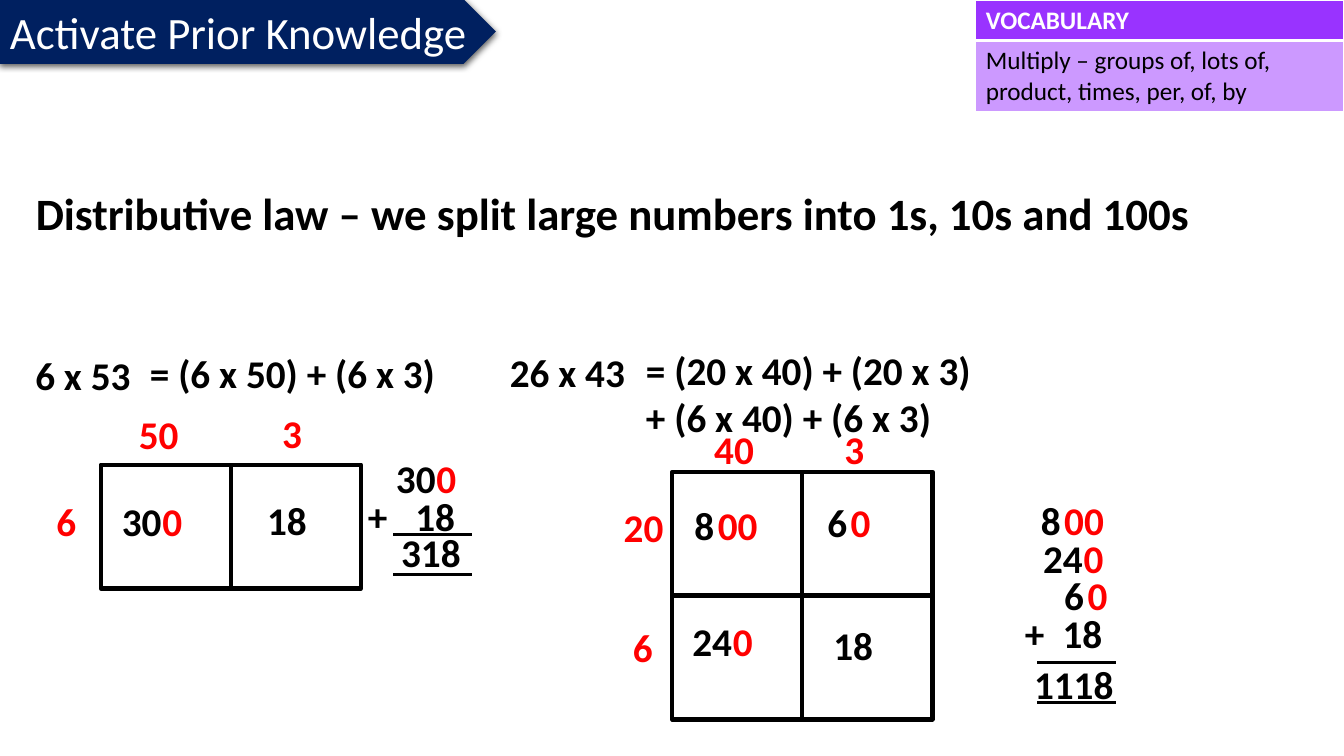
import pptx
import pptx.util
import pptx.dml.color
import pptx.enum.shapes
import pptx.enum.text
import pptx.oxml
import pptx.oxml.ns
from lxml import etree

Cm = pptx.util.Cm
Pt = pptx.util.Pt
SHAPE = pptx.enum.shapes.MSO_SHAPE
ALIGN = pptx.enum.text.PP_ALIGN
FIT = pptx.enum.text.MSO_AUTO_SIZE
ANCHOR = pptx.enum.text.MSO_ANCHOR
NS = 'xmlns:a="http://schemas.openxmlformats.org/drawingml/2006/main"'

BLACK, WHITE, RED = "000000", "FFFFFF", "FF0000"
NAVY, PURPLE, LILAC = "002060", "9933FF", "CC99FF"


def hue(code):
    return pptx.dml.color.RGBColor.from_string(code)


def write(frame, text, size=28, color=BLACK, bold=True, align=ALIGN.LEFT,
          lead=None, tab=None):
    """Fill a text frame, one paragraph per line of text."""
    for i, line in enumerate(text.split("\n")):
        para = frame.paragraphs[0] if i == 0 else frame.add_paragraph()
        if tab:
            stops = etree.SubElement(para._p.get_or_add_pPr(),
                                     pptx.oxml.ns.qn("a:tabLst"))
            etree.SubElement(stops, pptx.oxml.ns.qn("a:tab"),
                             pos=str(Cm(tab)), algn="l")
        para.alignment = align
        if lead:
            para.line_spacing = lead
        run = para.add_run()
        run.text = line
        run.font.name = "Calibri"
        run.font.size = Pt(size)
        run.font.bold = bold
        run.font.color.rgb = hue(color)


class Board:
    """Holds the style and the current slide."""
    cell_w, cell_h = 3.28, 3.12
    tag_w, tag_h = 2.26, 1.45
    step = {1: 0.59, 2: 1.02}    # shift of the red zeros by black digits

    def __init__(self, slide):
        self.slide = slide
        self.shapes = slide.shapes

    def banner(self, text, x, y, w, h):
        shape = self.shapes.add_shape(SHAPE.PENTAGON, Cm(x), Cm(y), Cm(w), Cm(h))
        shape.fill.solid()
        shape.fill.fore_color.rgb = hue(NAVY)
        shape.line.fill.background()
        shape._element.spPr.append(pptx.oxml.parse_xml(
            f'<a:effectLst {NS}><a:outerShdw blurRad="57150" dist="19050" '
            'dir="5400000" algn="ctr" rotWithShape="0"><a:srgbClr val="000000">'
            '<a:alpha val="63000"/></a:srgbClr></a:outerShdw></a:effectLst>'))
        frame = shape.text_frame
        frame.word_wrap = False
        frame.auto_size = FIT.SHAPE_TO_FIT_TEXT
        frame.vertical_anchor = ANCHOR.MIDDLE
        write(frame, text, size=32, color=WHITE, bold=False)

    def table(self, rows, x, y, w):
        total = sum(row[1] for row in rows)
        table = self.shapes.add_table(len(rows), 1, Cm(x), Cm(y), Cm(w),
                                      Cm(total)).table
        table.horz_banding = False
        for i, (text, high, fill, color, bold, base) in enumerate(rows):
            table.rows[i].height = Cm(high)
            cell = table.cell(i, 0)
            cell.fill.solid()
            cell.fill.fore_color.rgb = hue(fill)
            write(cell.text_frame, text, size=18, color=color, bold=bold)
            props = cell._tc.get_or_add_tcPr()
            for at, (side, wide) in enumerate(zip("LRTB", (1, 1, 1, base))):
                props.insert(at, pptx.oxml.parse_xml(
                    f'<a:ln{side} {NS} w="{Pt(wide)}"><a:solidFill>'
                    f'<a:srgbClr val="{WHITE}"/></a:solidFill></a:ln{side}>'))

    def label(self, text, x, y, w=tag_w, h=tag_h, fit=True, **style):
        frame = self.shapes.add_textbox(Cm(x), Cm(y), Cm(w), Cm(h)).text_frame
        frame.word_wrap = True
        frame.auto_size = FIT.SHAPE_TO_FIT_TEXT if fit else FIT.NONE
        write(frame, text, **style)

    def number(self, digits, zeros, x, y):
        self.label(digits, x, y)
        self.label(zeros, x + self.step[len(digits)], y, color=RED)

    def grid(self, x, y, rows, cols):
        for i in range(rows * cols):
            row, col = divmod(i, cols)
            box = self.shapes.add_shape(
                SHAPE.RECTANGLE, Cm(x + col * self.cell_w),
                Cm(y + row * self.cell_h), Cm(self.cell_w), Cm(self.cell_h))
            box.shadow.inherit = False
            box.fill.background()
            box.line.color.rgb = hue(BLACK)
            box.line.width = Pt(3)

    def rules(self, x, y):
        """Draw the two lines around the answer of a sum."""
        for top in (y, y + 1.02):
            line = self.shapes.add_connector(
                pptx.enum.shapes.MSO_CONNECTOR.STRAIGHT,
                Cm(x), Cm(top), Cm(x + 1.98), Cm(top))
            line.line.color.rgb = hue(BLACK)
            line.line.width = Pt(2.25)
            etree.SubElement(line._element.spPr, pptx.oxml.ns.qn("a:effectLst"))


def main():
    deck = pptx.Presentation()
    deck.slide_width, deck.slide_height = Cm(33.87), Cm(19.05)
    board = Board(deck.slides.add_slide(deck.slide_layouts[6]))

    # Header and vocabulary
    board.banner("Activate Prior Knowledge", 0, -0.02, 12.5, 1.63)
    board.table([
        ("VOCABULARY", 1.02, PURPLE, WHITE, True, 3),
        ("Multiply – groups of, lots of, product, times, per, of, by",
         1.78, LILAC, BLACK, False, 1),
    ], 24.59, 0, 9.27)
    board.label("Distributive law – we split large numbers into 1s, 10s and 100s",
                0.3, 4.72, 30.3, 2.54, fit=False, size=32,
                align=ALIGN.CENTER, lead=0.9)

    # First example: working and grid
    board.label("6 x 53", 0.64, 8.74, 14.12)
    board.label("= (6 x 50) + (6 x 3)", 3.53, 8.69, 11.15, 2.24)
    board.grid(2.54, 11.71, 1, 2)
    for text, x, y in (("6", 1.17, 12.4), ("50", 3.25, 10.21), ("3", 6.86, 10.19)):
        board.label(text, x, y, color=RED)
    board.number("30", "0", 2.82, 12.4)
    board.label("18", 6.48, 12.37)

    # First example: column sum
    board.number("30", "0", 9.73, 11.33)
    board.label("+\t18", 9.02, 12.27, 3.07, tab=1.2)
    board.rules(9.91, 13.46)
    board.label("318", 9.86, 13.18)

    # Second example: working and grid
    board.label("26 x 43", 12.6, 8.66, 14.12)
    board.label("= (20 x 40) + (20 x 3)\n+ (6 x 40) + (6 x 3)",
                16.03, 8.61, 11.15, 3.43)
    board.grid(16.94, 11.89, 2, 2)
    for text, x, y in (("20", 15.47, 12.55), ("6", 15.7, 15.57),
                       ("40", 17.75, 10.59), ("3", 21.03, 10.59)):
        board.label(text, x, y, color=RED)
    board.number("8", "00", 17.25, 12.52)
    board.number("6", "0", 20.6, 12.42)
    board.number("24", "0", 17.2, 15.44)
    board.label("18", 20.75, 15.54)

    # Second example: column sum
    board.number("8", "00", 25.98, 12.37)
    board.number("24", "0", 26.04, 13.34)
    board.number("6", "0", 26.57, 14.27)
    board.label("+\t18", 25.58, 15.24, 3.15, tab=0.95)
    board.rules(26.14, 16.69)
    board.label("1118", 25.81, 16.51, 2.79)

    deck.save("out.pptx")


if __name__ == "__main__":
    main()
